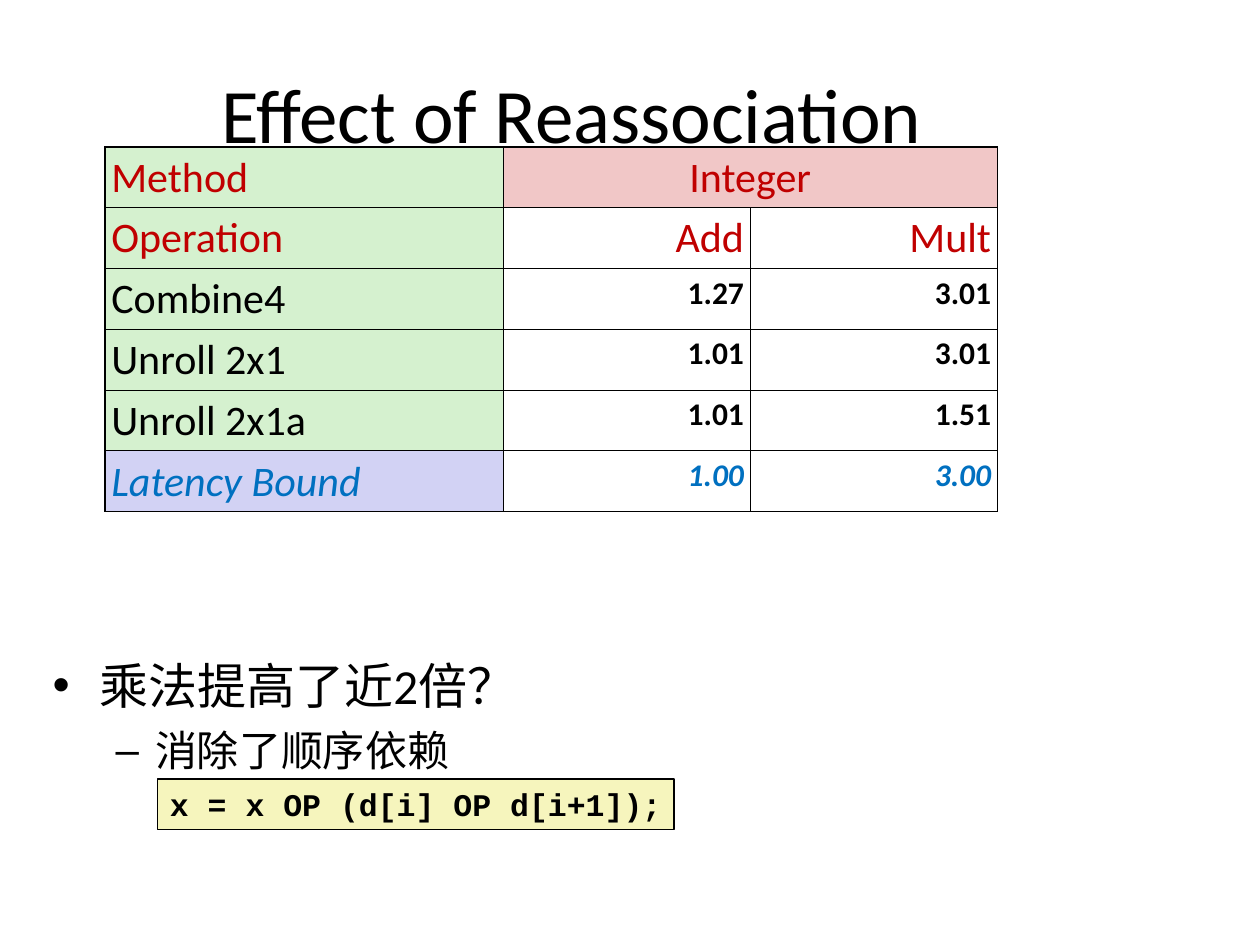
from pptx import Presentation
from pptx.dml.color import RGBColor
from pptx.enum.shapes import MSO_SHAPE as Shape
from pptx.enum.text import MSO_ANCHOR as Anchor, MSO_AUTO_SIZE as AutoSize, PP_ALIGN as Align
from pptx.oxml.ns import qn
from pptx.util import Pt
from lxml.etree import SubElement

BLACK, RED, BLUE = "000000", "C00000", "0070C0"
GREEN_FILL, PINK_FILL, LILAC_FILL, CODE_FILL = "D5F1CF", "F1C7C7", "D2D2F4", "F6F5BD"
THIN, THICK = 0.45, 1.08

ROWS = [
    ("Method", "Integer", ""),
    ("Operation", "Add", "Mult"),
    ("Combine4", "1.27", "3.01"),
    ("Unroll 2x1", "1.01", "3.01"),
    ("Unroll 2x1a", "1.01", "1.51"),
    ("Latency Bound", "1.00", "3.00"),
]
BULLETS = [
    ("乘法提高了近2倍？", 28, "•", 27, 27, 0),
    ("消除了顺序依赖", 24, "–", 58.5, 22.5, 6),
]


def color(value):
    """Turn a hex string into a colour."""
    return RGBColor.from_string(value)


def set_font(paragraph, size, value=BLACK, name="Calibri", bold=False, italic=False):
    """Set the font that all runs of a paragraph share."""
    font = paragraph.font
    font.name, font.size, font.bold, font.italic = name, Pt(size), bold, italic
    font.color.rgb = color(value)


def add_title(slide, left, top, width, height):
    """Place the centred slide title."""
    frame = slide.shapes.add_textbox(Pt(left), Pt(top), Pt(width), Pt(height)).text_frame
    frame.word_wrap = True
    frame.vertical_anchor = Anchor.MIDDLE
    paragraph = frame.paragraphs[0]
    paragraph.text = "Effect of Reassociation"
    paragraph.alignment = Align.CENTER
    set_font(paragraph, 44)


def add_bullets(slide, left, top, width, height):
    """Place the two levels of bulleted conclusions."""
    frame = slide.shapes.add_textbox(Pt(left), Pt(top), Pt(width), Pt(height)).text_frame
    frame.word_wrap = True
    for level, (text, size, mark, margin, hanging, before) in enumerate(BULLETS):
        paragraph = frame.add_paragraph() if level else frame.paragraphs[0]
        paragraph.text = text
        paragraph.level = level
        if before:
            paragraph.space_before = Pt(before)
        properties = paragraph._p.get_or_add_pPr()
        properties.set("marL", str(Pt(margin)))
        properties.set("indent", str(-Pt(hanging)))
        SubElement(properties, qn("a:buFont"), typeface="Arial")
        SubElement(properties, qn("a:buChar"), char=mark)
        set_font(paragraph, size)


def add_code(slide, left, top, width, height):
    """Place the framed line of code."""
    shape = slide.shapes.add_shape(Shape.RECTANGLE, Pt(left), Pt(top), Pt(width), Pt(height))
    shape.shadow.inherit = False
    shape.fill.solid()
    shape.fill.fore_color.rgb = color(CODE_FILL)
    shape.line.color.rgb = color(BLACK)
    shape.line.width = Pt(1)
    frame = shape.text_frame
    frame.word_wrap = False
    frame.auto_size = AutoSize.SHAPE_TO_FIT_TEXT
    frame.vertical_anchor = Anchor.TOP
    paragraph = frame.paragraphs[0]
    paragraph.text = "x = x OP (d[i] OP d[i+1]);"
    paragraph.alignment = Align.LEFT
    set_font(paragraph, 18, name="Courier New", bold=True)


def set_borders(cell, left, right, top, bottom):
    """Draw the four borders of a cell with the given widths."""
    properties = cell._tc.get_or_add_tcPr()
    for side, width in zip("LRTB", (left, right, top, bottom)):
        line = SubElement(properties, qn(f"a:ln{side}"), w=str(Pt(width)))
        SubElement(SubElement(line, qn("a:solidFill")), qn("a:srgbClr"), val=BLACK)


def style_cell(cell, row, column):
    """Style a cell by its place in the table."""
    last_row, last_column = len(ROWS) - 1, len(ROWS[0]) - 1
    cell.margin_left = cell.margin_right = cell.margin_top = cell.margin_bottom = Pt(3.6)
    set_borders(cell, THIN if column else THICK, THICK if column == last_column else THIN,
                THIN if row else THICK, THIN)
    if column == 0:
        fill = LILAC_FILL if row == last_row else GREEN_FILL
    else:
        fill = None if row else PINK_FILL
    if fill:
        cell.fill.solid()
        cell.fill.fore_color.rgb = color(fill)
    else:
        cell.fill.background()
    paragraph = cell.text_frame.paragraphs[0]
    paragraph.line_spacing = 0.95
    paragraph.alignment = Align.LEFT if column == 0 else Align.RIGHT if row else Align.CENTER
    is_value = row > 1 and column > 0
    text_color = RED if row < 2 else BLUE if row == last_row else BLACK
    set_font(paragraph, 18 if is_value else 24, text_color,
             bold=is_value, italic=row == last_row)


def add_results(slide, left, top, width, height):
    """Place the table of measured cycles per element."""
    table = slide.shapes.add_table(
        len(ROWS), len(ROWS[0]), Pt(left), Pt(top), Pt(width), Pt(height)).table
    table.first_row = table.horz_banding = False
    label_width = 227.5
    value_width = (width - label_width) / 2
    for column, column_width in zip(table.columns, (label_width, value_width, value_width)):
        column.width = Pt(column_width)
    for row, texts in enumerate(ROWS):
        for column, text in enumerate(texts):
            cell = table.cell(row, column)
            cell.text = text
            style_cell(cell, row, column)
    table.cell(0, 1).merge(table.cell(0, 2))


def main():
    """Build the slide and save it."""
    presentation = Presentation()
    presentation.slide_width, presentation.slide_height = Pt(720), Pt(540)
    slide = presentation.slides.add_slide(presentation.slide_layouts[6])
    add_title(slide, 28, 34.5, 597.5, 60)
    add_bullets(slide, 23, 371, 654.5, 137)
    add_code(slide, 90, 445, 295, 29)
    add_results(slide, 60, 84, 510, 208.5)
    presentation.save("out.pptx")


if __name__ == "__main__":
    main()
